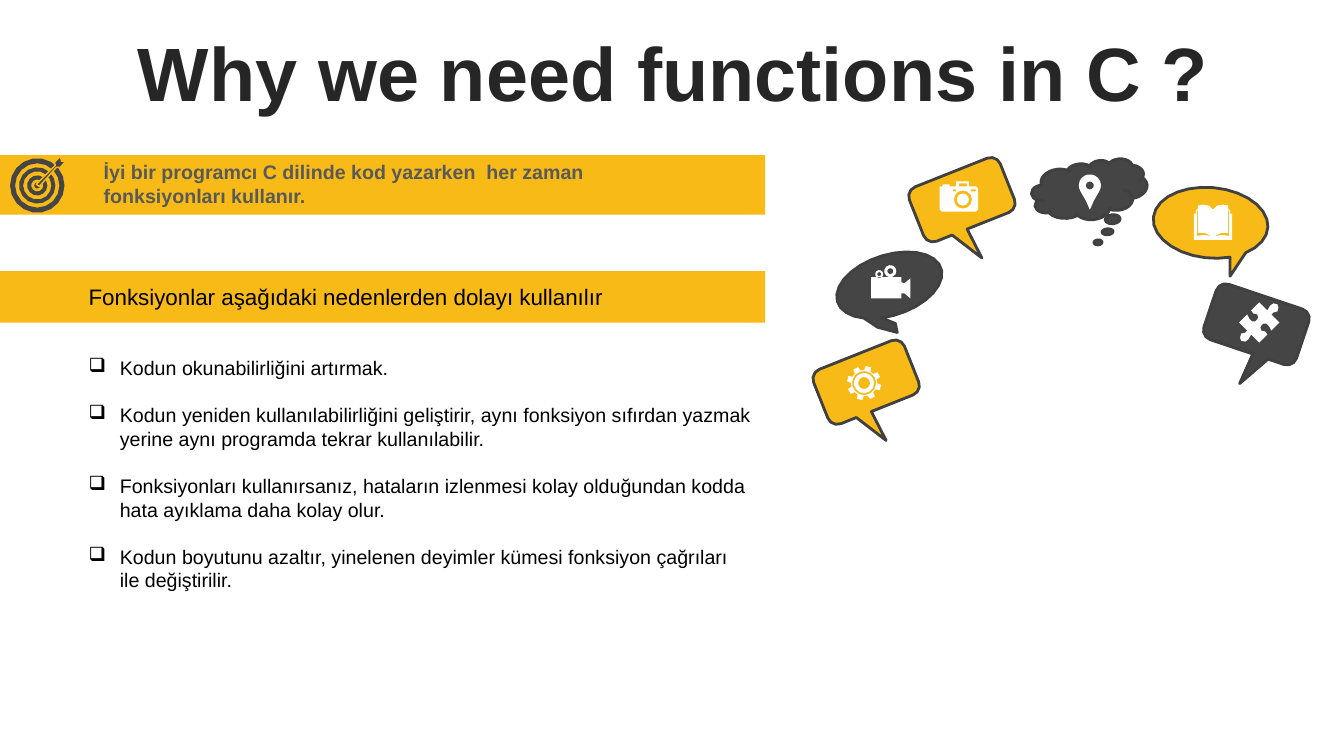
from math import cos, pi, radians, sin

from lxml.etree import SubElement
from pptx import Presentation
from pptx.dml.color import RGBColor
from pptx.enum.shapes import MSO_SHAPE
from pptx.enum.text import MSO_ANCHOR, PP_ALIGN
from pptx.oxml.ns import qn
from pptx.util import Inches, Pt

GOLD = RGBColor(0xF8, 0xBA, 0x16)
DARK = RGBColor(0x45, 0x45, 0x45)
EDGE = RGBColor(0x40, 0x40, 0x40)
GRAY = RGBColor(0x59, 0x59, 0x59)
INK = RGBColor(0x26, 0x26, 0x26)
BLACK = RGBColor(0, 0, 0)
WHITE = RGBColor(255, 255, 255)

REASONS = [
    "Kodun okunabilirliğini artırmak.",
    "Kodun yeniden kullanılabilirliğini geliştirir, aynı fonksiyon sıfırdan yazmak yerine aynı programda tekrar kullanılabilir.",
    "Fonksiyonları kullanırsanız, hataların izlenmesi kolay olduğundan kodda hata ayıklama daha kolay olur.",
    "Kodun boyutunu azaltır, yinelenen deyimler kümesi fonksiyon çağrıları ile değiştirilir.",
]


def paint(shape, fill, line=None, width=2):
    """Give a shape its fill and outline."""
    shape.shadow.inherit = False
    shape.fill.solid()
    shape.fill.fore_color.rgb = fill
    if line is None:
        shape.line.fill.background()
    else:
        shape.line.color.rgb = line
        shape.line.width = Pt(width)


def preset(slide, kind, box, fill, line=None, turn=0):
    """Add a preset shape in a box of inches."""
    shape = slide.shapes.add_shape(kind, *map(Inches, box))
    shape.rotation = turn
    paint(shape, fill, line)


def write(slide, text, box, size=14, color=BLACK, bold=False, align=PP_ALIGN.LEFT,
          anchor=MSO_ANCHOR.TOP, bullet=None, gap=0, lead=None):
    """Add a text box with one paragraph per line of text."""
    frame = slide.shapes.add_textbox(*map(Inches, box)).text_frame
    frame.word_wrap = True
    frame.vertical_anchor = anchor
    for i, line in enumerate(text.split("\n")):
        para = frame.add_paragraph() if i else frame.paragraphs[0]
        para.alignment = align
        para.line_spacing = lead
        para.space_before = Pt(gap if i else 0)
        run = para.add_run()
        run.text = line
        font = run.font
        font.name, font.size, font.bold = "Arial", Pt(size), bold
        font.color.rgb = color
        if bullet:
            props = para._p.get_or_add_pPr()
            props.set("marL", str(Inches(0.31)))
            props.set("indent", str(-Inches(0.31)))
            SubElement(props, qn("a:buChar")).set("char", bullet)


def draw(slide, at, loops, fill, line=None, turn=0, width=2):
    """Draw closed loops around a point; inner loops become holes."""
    c, s = cos(radians(turn)), sin(radians(turn))
    pen = None
    for loop in loops:
        spots = [(Inches(at[0] + x * c - y * s), Inches(at[1] + x * s + y * c))
                 for x, y in loop]
        if pen is None:
            pen = slide.shapes.build_freeform(*spots[0])
        else:
            pen.move_to(*spots[0])
        pen.add_line_segments(spots[1:], close=True)
    paint(pen.convert_to_shape(), fill, line, width)


def arc(x, y, rx, ry=None, start=0, end=360, steps=None):
    """Return points along an ellipse, more of them for a larger one."""
    ry = ry or rx
    steps = steps or int(10 + 30 * rx)
    turns = [radians(start + (end - start) * i / steps) for i in range(steps + 1)]
    return [(x + rx * cos(t), y + ry * sin(t)) for t in turns]


def rect(x, y, w, h):
    """Return the corners of a rectangle."""
    return [(x, y), (x + w, y), (x + w, y + h), (x, y + h)]


def card(slide, at, turn, fill, side=1):
    """Draw a tilted rounded speech card; side -1 mirrors it."""
    loop = []
    for x, y, start in ((0.385, 0.03, 0), (-0.385, 0.03, 90),
                        (-0.385, -0.35, 180), (0.385, -0.35, 270)):
        loop += arc(x, y, 0.1, start=start, end=start + 90, steps=3)
        if start == 0:
            loop += [(-0.06, 0.13), (-0.03, 0.45), (-0.22, 0.13)]
    draw(slide, at, [[(side * x, y) for x, y in loop]], fill, EDGE, turn)


def camera(slide, at):
    """Draw a photo camera."""
    body = [(-0.19, -0.1), (-0.16, -0.1), (-0.16, -0.12), (-0.09, -0.12),
            (-0.09, -0.1), (-0.03, -0.1), (-0.03, -0.15), (0.1, -0.15),
            (0.1, -0.1), (0.17, -0.1), (0.19, -0.08), (0.19, 0.13),
            (0.17, 0.15), (-0.17, 0.15), (-0.19, 0.13)]
    draw(slide, at, [body, rect(0, -0.13, 0.08, 0.03), rect(0.12, -0.07, 0.05, 0.02),
                     rect(-0.06, -0.07, 0.03, 0.02), arc(0.04, 0.03, 0.09),
                     arc(0.04, 0.03, 0.06)], WHITE)


def movie(slide, at):
    """Draw a film camera."""
    lens = [(0.11, 0), (0.14, 0.01), (0.2, -0.04), (0.2, 0.16), (0.14, 0.11), (0.11, 0.11)]
    draw(slide, at, [rect(-0.19, -0.05, 0.3, 0.21), lens, arc(0, -0.11, 0.06),
                     arc(0, -0.11, 0.03), arc(-0.11, -0.08, 0.04),
                     arc(-0.11, -0.08, 0.02)], WHITE)


def pin(slide, at):
    """Draw a map pin."""
    head = arc(0, 0, 0.11, start=148, end=392)
    draw(slide, at, [head + [(0.04, 0.15), (0, 0.24), (-0.04, 0.15)], arc(0, 0, 0.04)], WHITE)


def gear(slide, at):
    """Draw a gear with eight teeth."""
    rim = []
    for i in range(8):
        for shift, r in ((-14, 0.13), (-9, 0.17), (9, 0.17), (14, 0.13)):
            t = i * pi / 4 + radians(shift + 15)
            rim.append((r * cos(t), r * sin(t)))
    draw(slide, at, [rim] + [arc(0, 0, r) for r in (0.12, 0.1, 0.06)], WHITE)


def book(slide, at):
    """Draw an open book from two mirrored halves."""
    half = [(0, -0.12), (0.04, -0.16), (0.1, -0.17), (0.15, -0.16), (0.15, -0.12),
            (0.17, -0.12), (0.17, -0.08), (0.19, -0.08), (0.19, 0.18)]
    slit = [(0.15, -0.11), (0.16, -0.11), (0.16, 0.14), (0.08, 0.13),
            (0.01, 0.15), (0.08, 0.11), (0.15, 0.11)]
    flip = [[(-x, y) for x, y in side] for side in (half, slit)]
    draw(slide, at, [half + flip[0][::-1], slit, flip[1]], WHITE)


def puzzle(slide, at):
    """Draw a puzzle piece with point symmetry."""
    half = [(0.11, -0.17), (0.14, -0.19), (0.18, -0.18), (0.19, -0.15), (0.18, -0.11),
            (0.14, -0.1), (0.12, -0.08), (0.2, 0), (0.12, 0.08), (0.1, 0.04),
            (0.07, 0.01), (0.04, 0.01), (0.02, 0.03), (0.01, 0.05), (0.02, 0.08),
            (0.06, 0.09), (0.08, 0.12), (0, 0.2), (-0.08, 0.12)]
    draw(slide, at, [half + [(-x, -y) for x, y in half]], WHITE)


def target(slide, at):
    """Draw a target hit by an arrow."""
    rings = (0.27, 0.22, 0.18, 0.14, 0.1, 0.06, 0.03)
    draw(slide, at, [arc(0, 0, r) for r in rings], DARK)
    dart = [(0.23, -0.29), (0.24, -0.24), (0.28, -0.24), (0.23, -0.18), (0.19, -0.18),
            (0.02, 0.01), (-0.01, -0.01), (0.18, -0.2), (0.17, -0.23)]
    draw(slide, at, [dart], DARK, GOLD, width=1)


def cloud(slide, x, y):
    """Draw a thought cloud with its trail."""
    preset(slide, MSO_SHAPE.CLOUD, (x, y, 1.15, 0.58), DARK, EDGE, -4.8)
    for dx, dy, w, h in ((0.73, 0.53, 0.15, 0.09), (0.7, 0.67, 0.11, 0.06),
                         (0.62, 0.78, 0.08, 0.05)):
        preset(slide, MSO_SHAPE.OVAL, (x + dx, y + dy, w, h), DARK, EDGE, -4.8)


def chat(slide, x, y):
    """Place the arch of bubbles and their icons."""
    card(slide, (x + 0.65, y + 2.44), -21.7, GOLD)
    card(slide, (x + 1.6, y + 0.63), -21.7, GOLD)
    card(slide, (x + 4.41, y + 1.87), 18.6, DARK, -1)
    oval = arc(0, 0, 0.54, 0.3, 129, 469) + [(-0.06, 0.38), (-0.07, 0.47), (-0.24, 0.36)]
    draw(slide, (x + 0.82, y + 1.33), [oval], DARK, EDGE, -18)
    oval = arc(0, -0.08, 0.57, 0.35, 67, 409) + [(0.24, 0.43)]
    draw(slide, (x + 4, y + 0.79), [oval], GOLD, EDGE, 5.2)
    cloud(slide, x + 2.23, y + 0.1)
    for icon, dx, dy in ((camera, 1.51, 0.45), (movie, 0.83, 1.3), (pin, 2.81, 0.34),
                         (gear, 0.57, 2.3), (puzzle, 4.49, 1.7), (book, 4.03, 0.7)):
        icon(slide, (x + dx, y + dy))


def notes(slide, x, y, w):
    """Place the two bands and the list of reasons."""
    preset(slide, MSO_SHAPE.RECTANGLE, (x, y, w, 0.59), GOLD)
    target(slide, (x + 0.37, y + 0.3))
    write(slide, "İyi bir programcı C dilinde kod yazarken  her zaman fonksiyonları kullanır.",
          (x + 0.93, y, 5.96, 0.57), color=GRAY, bold=True)
    preset(slide, MSO_SHAPE.RECTANGLE, (x, y + 1.15, w, 0.51), GOLD)
    write(slide, "Fonksiyonlar aşağıdaki nedenlerden dolayı kullanılır",
          (x + 0.78, y + 1.22, 6.78, 0.37), size=16, anchor=MSO_ANCHOR.MIDDLE)
    write(slide, "\n".join(REASONS), (x + 0.78, y + 1.94, 6.78, 2.46), bullet="❑", gap=17)


def main():
    """Build and save the slide."""
    deck = Presentation()
    deck.slide_width, deck.slide_height = Inches(13.33), Inches(7.5)
    slide = deck.slides.add_slide(deck.slide_layouts[6])
    write(slide, "Why we need functions in C ?", (0.35, 0.37, 12.66, 0.79), size=54,
          color=INK, bold=True, align=PP_ALIGN.CENTER, anchor=MSO_ANCHOR.MIDDLE, lead=0.9)
    notes(slide, 0, 1.54, 7.59)
    chat(slide, 8, 1.5)
    deck.save("out.pptx")


if __name__ == "__main__":
    main()
